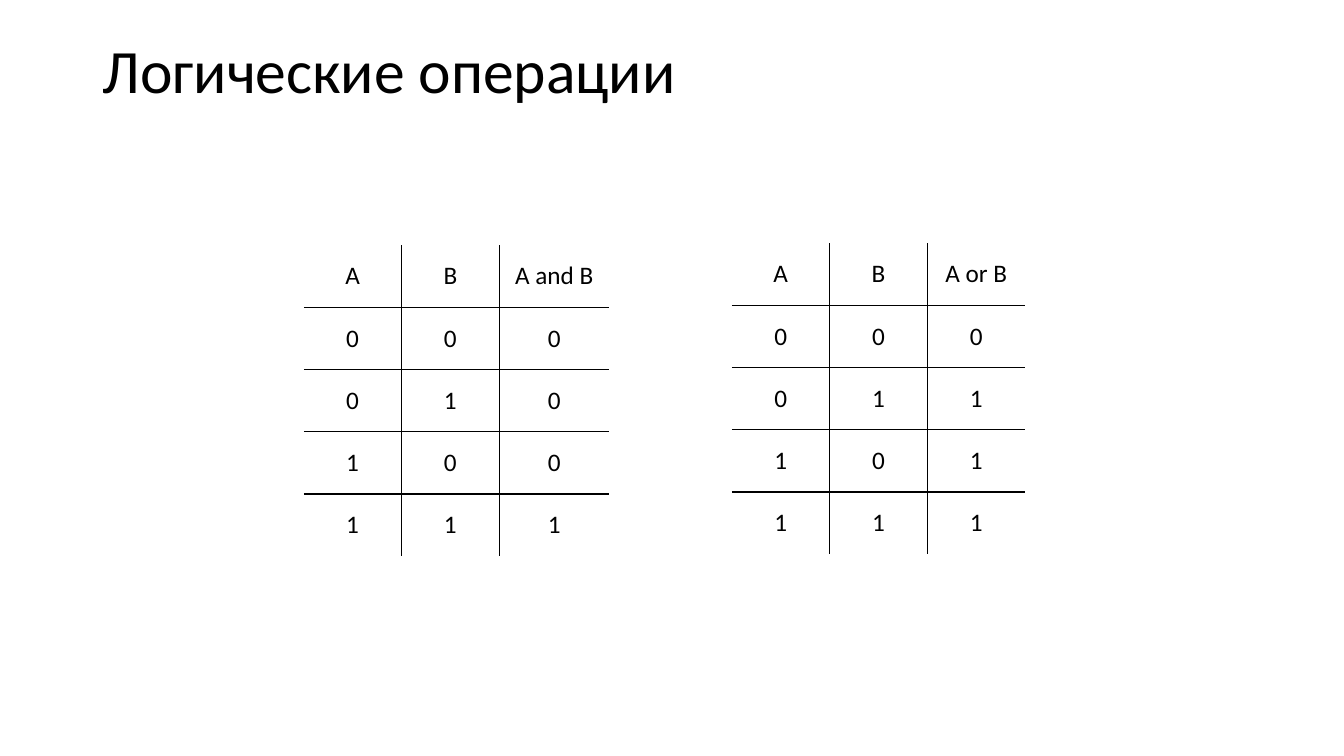
from itertools import product

from lxml.etree import SubElement
from pptx import Presentation
from pptx.dml.color import RGBColor
from pptx.enum.text import MSO_ANCHOR, PP_ALIGN
from pptx.oxml.ns import qn
from pptx.util import Pt

COLORS = {"text": "000000", "line": "000000"}
FONT = "Calibri"
ROW_HEIGHT = 44.5


def format_paragraph(p, size):
    p.font.name = FONT
    p.font.size = Pt(size)
    p.font.bold = False
    p.font.color.rgb = RGBColor.from_string(COLORS["text"])


def set_borders(cell, sides):
    tcPr = cell._tc.get_or_add_tcPr()
    for side in "LRTB":
        ln = SubElement(tcPr, qn(f"a:ln{side}"), w=str(Pt(1)))
        if side in sides:
            fill = SubElement(ln, qn("a:solidFill"))
            SubElement(fill, qn("a:srgbClr"), val=COLORS["line"])
        else:
            SubElement(ln, qn("a:noFill"))


prs = Presentation()
prs.slide_width, prs.slide_height = Pt(960), Pt(540)
s = prs.slides.add_slide(prs.slide_layouts[5])

# Title
title = s.shapes.title
title.left, title.top, title.width, title.height = Pt(66), Pt(0), Pt(828), Pt(104.4)
tf = title.text_frame
tf.text = "Логические операции"
tf.vertical_anchor = MSO_ANCHOR.MIDDLE
p = tf.paragraphs[0]
p.alignment = PP_ALIGN.LEFT
p.line_spacing = 0.9
format_paragraph(p, 44)

# Truth tables: heading, results, left, top, column widths
truth_tables = [
    ("A and B", "0001", 217, 175, (69.8, 69.8, 78.7)),
    ("A or B", "0111", 522.8, 173.6, (69.8, 69.8, 69.8)),
]
for heading, results, left, top, widths in truth_tables:
    rows = [("A", "B", heading)]
    rows += [(a, b, res) for (a, b), res in zip(product("01", repeat=2), results)]
    table = s.shapes.add_table(len(rows), len(widths), Pt(left), Pt(top),
                               Pt(sum(widths)), Pt(ROW_HEIGHT * len(rows))).table
    table.first_row = table.horz_banding = False
    for column, width in zip(table.columns, widths):
        column.width = Pt(width)

    for i, values in enumerate(rows):
        table.rows[i].height = Pt(ROW_HEIGHT)
        for j, value in enumerate(values):
            cell = table.cell(i, j)
            cell.text = value
            cell.vertical_anchor = MSO_ANCHOR.MIDDLE
            p = cell.text_frame.paragraphs[0]
            p.alignment = PP_ALIGN.CENTER
            format_paragraph(p, 18)
            # Only the inner grid lines are drawn
            inner = {"L": j > 0, "R": j < len(widths) - 1,
                     "T": i > 0, "B": i < len(rows) - 1}
            set_borders(cell, [side for side in inner if inner[side]])
            cell.fill.background()

prs.save("out.pptx")
